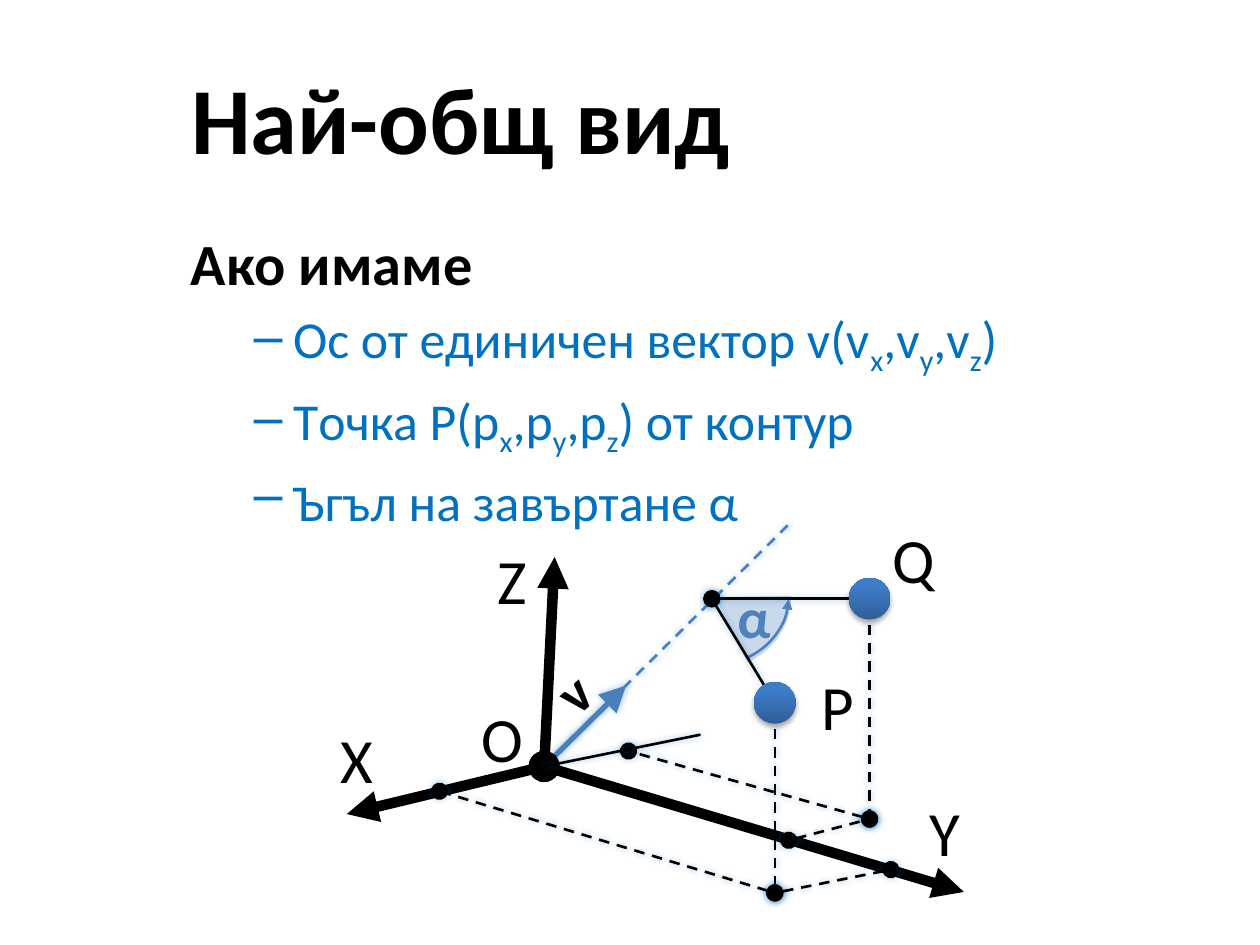
from lxml.etree import SubElement
from pptx import Presentation
from pptx.dml.color import RGBColor
from pptx.enum.dml import MSO_LINE_DASH_STYLE as Dash
from pptx.enum.shapes import MSO_CONNECTOR as Connector, MSO_SHAPE as Shape
from pptx.enum.text import MSO_ANCHOR as Anchor, PP_ALIGN as Align
from pptx.oxml.ns import qn
from pptx.util import Cm, Pt

COLORS = {"ink": "000000", "text": "0070C0", "accent": "4F81BD", "vector": "4B7EBC",
          "ball_dark": "2F5F99", "ball_light": "3D7CC7"}

# Points of the drawing, in centimetres
ORIGIN = (10.97, 15.45)
X_END, Y_END, Z_END = (6.99, 16.41), (19.43, 17.98), (11.18, 11.23)
X_BACK = (14.12, 14.81)
V_TIP, V_FAR = (12.62, 13.82), (15.88, 10.59)
CENTER = (14.35, 12.07)
P, P_FOOT, P_ON_X, P_ON_Y = (15.62, 14.17), (15.62, 18), (8.86, 15.95), (17.96, 17.53)
Q, Q_FOOT, Q_ON_X, Q_ON_Y = (17.53, 12.07), (17.53, 16.51), (12.67, 15.14), (15.9, 16.94)

DOTS = {"head": "oval", "tail": "oval", "end_size": "lg", "glow": True}
DASHED_DOTS = {**DOTS, "dash": Dash.DASH}
AXIS = {"width": 6, "head": "oval", "tail": "triangle"}

BODY = [
    "Oс от единичен вектор v(v_x_,v_y_,v_z_)",
    "Tочка P(p_x_,p_y_,p_z_) от контур",
    "Ъгъл на завъртане α",
]
LABELS = [("P", 16.03, 13.33), ("O", 9.27, 13.97), ("Y", 18.2, 15.88),
          ("Z", 9.48, 10.8), ("X", 6.35, 14.4), ("Q", 17.56, 10.36)]


def rgb(name):
    return RGBColor.from_string(COLORS[name])


def apply(target, **values):
    for name, value in values.items():
        setattr(target, name, value)


def add_shadow(shape, color, alpha, blur, dist, angle):
    """Give the shape an outer shadow: alpha in percent, lengths in points."""
    properties = shape._element.spPr
    effects = properties.find(qn("a:effectLst"))
    if effects is None:
        effects = SubElement(properties, qn("a:effectLst"))
    outer = SubElement(effects, qn("a:outerShdw"), blurRad=str(Pt(blur)),
                       dist=str(Pt(dist)), dir=str(angle * 60000), rotWithShape="0")
    fill = SubElement(outer, qn("a:srgbClr"), val=COLORS[color])
    SubElement(fill, qn("a:alpha"), val=str(alpha * 1000))


def add_line_ends(shape, head=None, tail=None, size="med"):
    line = shape.line._get_or_add_ln()
    for tag, kind in (("a:headEnd", head), ("a:tailEnd", tail)):
        if kind:
            SubElement(line, qn(tag), type=kind, w=size, len=size)


class Painter:
    font = "Calibri"

    def __init__(self, page):
        self.page = page

    def style(self, font, size, color, bold=False):
        apply(font, name=self.font, size=Pt(size), bold=bold)
        font.color.rgb = rgb(color)

    def title(self, text):
        box = self.page.shapes.title
        apply(box, left=Cm(3.6), top=Cm(0.76), width=Cm(21.8), height=Cm(3.18))
        box.text_frame.text = text
        box.text_frame.vertical_anchor = Anchor.MIDDLE
        para = box.text_frame.paragraphs[0]
        para.alignment = Align.LEFT
        self.style(para.font, 54, "ink", True)

    def text_box(self, left, top, width, height):
        box = self.page.shapes.add_textbox(Cm(left), Cm(top), Cm(width), Cm(height))
        box.text_frame.word_wrap = True
        return box

    def body(self, heading, items):
        frame = self.text_box(3.6, 4.45, 21.8, 5.92).text_frame
        frame.text = heading
        self.style(frame.paragraphs[0].font, 33.3, "ink", True)
        for item in items:
            para = frame.add_paragraph()
            props = para._p.get_or_add_pPr()
            props.set("marL", str(Cm(2.06)))
            props.set("indent", str(Cm(-0.79)))
            SubElement(props, qn("a:buChar"), char="–")
            para.space_before = Pt(5.9)
            self.style(para.font, 29.6, "text")
            for number, part in enumerate(item.split("_")):
                span = para.add_run()
                span.text = part
                if number % 2:
                    span.font._element.set("baseline", "-25000")

    def label(self, text, left, top, height=2.54, size=36, color="ink", bold=False, turn=0):
        box = self.text_box(left, top, 1.7, height)
        box.rotation = turn
        box.text_frame.text = text
        para = box.text_frame.paragraphs[0]
        para.alignment = Align.CENTER
        self.style(para.font, size, color, bold)

    def line(self, start, end, color="ink", width=1.5, dash=None, head=None, tail=None,
             end_size="med", glow=False):
        line = self.page.shapes.add_connector(
            Connector.STRAIGHT, *(Cm(value) for value in start + end))
        line.line.color.rgb = rgb(color)
        line.line.width = Pt(width)
        if dash:
            line.line.dash_style = dash
        add_line_ends(line, head, tail, end_size)
        if glow:
            add_shadow(line, "text", 40, 4, 0, 270)
        else:
            SubElement(line._element.spPr, qn("a:effectLst"))

    def shape(self, kind, left, top, width, height, angles=()):
        shape = self.page.shapes.add_shape(kind, Cm(left), Cm(top), Cm(width), Cm(height))
        shape.shadow.inherit = False
        for number, angle in enumerate(angles):
            shape.adjustments[number] = angle * 0.6  # 60000 units a degree, scaled by 100000
        return shape

    def ball(self, center, size=0.84):
        x, y = center
        ball = self.shape(Shape.OVAL, x - size / 2, y - size / 2, size, size)
        ball.line.fill.background()
        ball.fill.gradient()
        ball.fill.gradient_angle = 90
        for stop, place, color in zip(ball.fill.gradient_stops, (0, 0.8),
                                      ("ball_dark", "ball_light")):
            stop.position = place
            stop.color.rgb = rgb(color)
        add_shadow(ball, "ink", 35, 3.1, 1.8, 90)

    def angle_wedge(self):
        wedge = self.shape(Shape.PIE, 12.88, 10.59, 3.07, 2.9, (359.13, 63.62))
        wedge.line.fill.background()
        wedge.fill.solid()
        wedge.fill.fore_color.rgb = rgb("accent")
        SubElement(next(wedge._element.spPr.iter(qn("a:srgbClr"))), qn("a:alpha"), val="30000")

    def angle_arrow(self):
        arc = self.shape(Shape.ARC, 12.83, 10.64, 3.07, 2.77, (299.24, 357.99))
        arc._element.spPr.xfrm.set("flipV", "1")
        arc.fill.background()
        arc.line.color.rgb = rgb("accent")
        arc.line.width = Pt(1.5)
        add_line_ends(arc, tail="triangle")


def main():
    deck = Presentation()
    apply(deck, slide_width=Cm(25.4), slide_height=Cm(19.05))
    painter = Painter(deck.slides.add_slide(deck.slide_layouts[5]))

    painter.line(V_FAR, ORIGIN, "vector", dash=Dash.DASH, glow=True)
    painter.line(V_TIP, ORIGIN, "vector", 3, head="triangle", end_size="lg", glow=True)
    painter.title("Най-общ вид")
    painter.body("Ако имаме", BODY)
    for end in (Y_END, X_END, Z_END):
        painter.line(ORIGIN, end, **AXIS)
    painter.label("α", 14.35, 11.61, 1.47, 32, "accent", True)
    painter.label("v", 10.59, 13.18, 1.27, 32, bold=True, turn=318.7)
    painter.angle_wedge()
    painter.angle_arrow()
    for text, left, top in LABELS:
        painter.label(text, left, top)
    for point, foot, on_x, on_y in ((P, P_FOOT, P_ON_X, P_ON_Y), (Q, Q_FOOT, Q_ON_X, Q_ON_Y)):
        painter.line(point, CENTER, **DOTS)
        for start, end in ((point, foot), (foot, on_x), (on_y, foot)):
            painter.line(start, end, **DASHED_DOTS)
        painter.ball(point)
    painter.line(X_BACK, ORIGIN, glow=True)

    deck.save("out.pptx")


if __name__ == "__main__":
    main()
